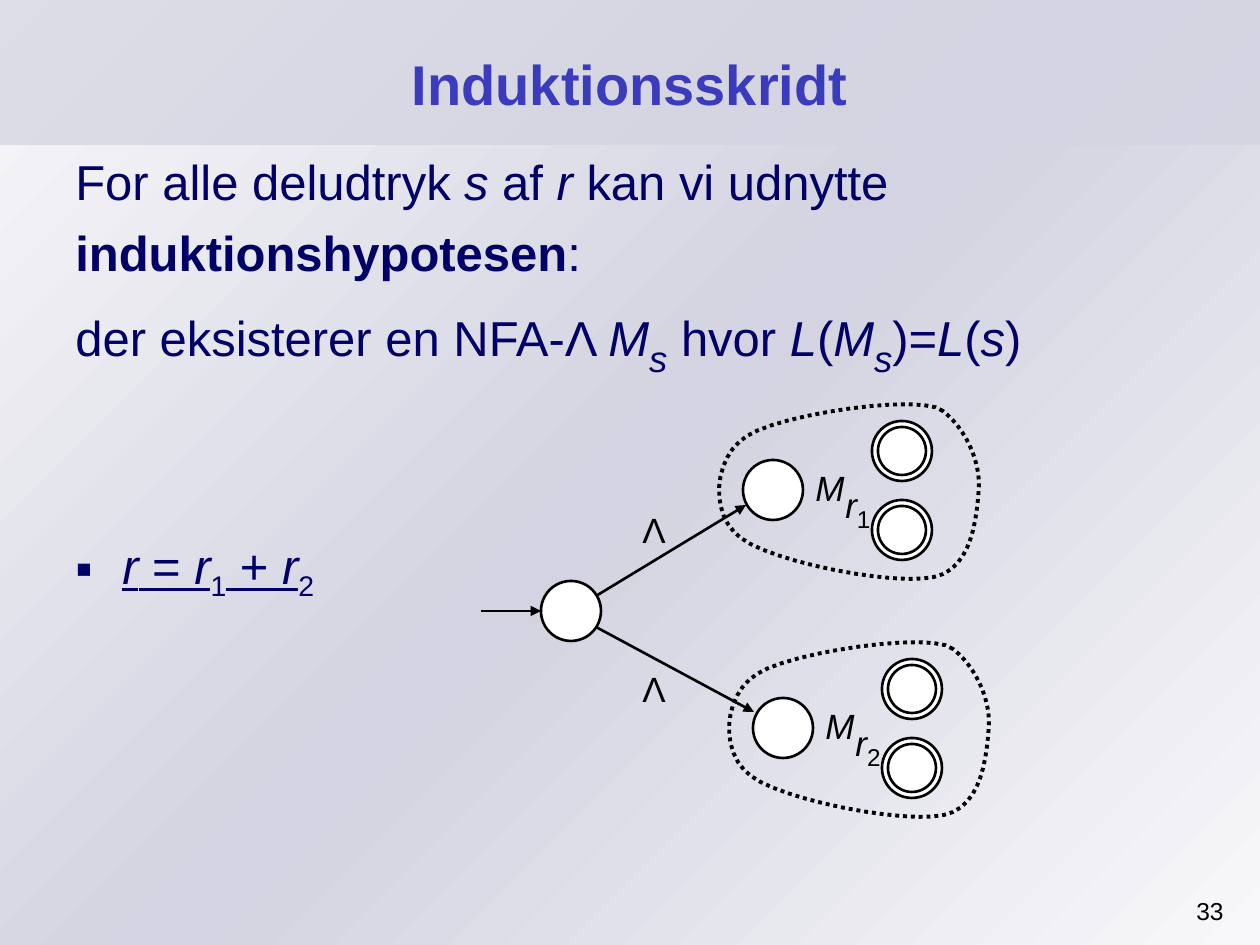
from copy import deepcopy

from lxml import etree
from pptx import Presentation
from pptx.dml.color import RGBColor
from pptx.enum.dml import MSO_LINE
from pptx.enum.shapes import MSO_CONNECTOR, MSO_SHAPE
from pptx.enum.text import MSO_ANCHOR, PP_ALIGN
from pptx.oxml.ns import qn
from pptx.util import Pt

PX = 914400 / 126
RECT, OVAL = MSO_SHAPE.RECTANGLE, MSO_SHAPE.OVAL
STRAIGHT = MSO_CONNECTOR.STRAIGHT
DOTS = MSO_LINE.ROUND_DOT
MIDDLE = MSO_ANCHOR.MIDDLE
CENTER, RIGHT = PP_ALIGN.CENTER, PP_ALIGN.RIGHT
BLACK, WHITE, NAVY, BLUE = "000000", "FFFFFF", "000066", "3B3BBE"
PALE, GREY = "F8F8FA", "D3D3E1"
NODE, RIM = 60, 6
# Outline of a machine, relative to its box: a start, then cubic curves
START = (234, 18)
CURVES = [((214, 0), (71, 21), (38, 43)), ((4, 64), (0, 122), (32, 145)),
          ((63, 169), (185, 193), (225, 184)), ((264, 176), (268, 122), (270, 94)),
          ((271, 67), (256, 35), (234, 18))]


def px(*nums):
    return [round(n * PX) for n in nums]


def color(text):
    return RGBColor.from_string(text)


def sub(parent, tag, **attrs):
    return etree.SubElement(parent, qn(tag), attrs)


def style(para, parts, size, tint):
    """Fill a paragraph from (text, marks) parts; marks: b, i, u, _ for subscript, + for larger."""
    for text, marks in parts:
        run = para.add_run()
        run.text = text
        font = run.font
        font.name, font.size = "Arial", Pt(size)
        font.color.rgb = color(tint)
        font.bold, font.italic, font.underline = (m in marks for m in "biu")
        if "_" in marks:
            run._r.get_or_add_rPr().set("baseline", "-25000")
        if "+" in marks:
            font.size = Pt(36 if size == 28 else 24)


def label(slide, box, parts, size=20, align=None):
    shape = slide.shapes.add_textbox(*px(*box))
    para = shape.text_frame.paragraphs[0]
    if align is not None:
        shape.text_frame.word_wrap = True
        para.alignment = align
    style(para, parts, size, BLACK)


def ring(slide, x, y, size=NODE, fill=WHITE):
    shape = slide.shapes.add_shape(OVAL, *px(x, y, size, size))
    shape.shadow.inherit = False
    if fill:
        shape.fill.solid()
        shape.fill.fore_color.rgb = color(fill)
    else:
        shape.fill.background()
    shape.line.color.rgb = color(BLACK)
    shape.line.width = Pt(1.5)


def final(slide, x, y):
    """Draw an accepting state."""
    ring(slide, x, y)
    ring(slide, x + RIM, y + RIM, NODE - 2 * RIM, None)


def arrow(slide, *ends):
    line = slide.shapes.add_connector(STRAIGHT, *px(*ends))
    line.line.color.rgb = color(BLACK)
    line.line.width = Pt(1.5)
    sub(line.line._get_or_add_ln(), "a:tailEnd", type="triangle")
    sub(line._element.spPr, "a:effectLst")


def bezier(a, b, c, d, steps=12):
    for k in range(1, steps + 1):
        t = k / steps
        s = 1 - t
        yield tuple(s**3 * p + 3 * s * s * t * q + 3 * s * t * t * u + t**3 * v
                    for p, q, u, v in zip(a, b, c, d))


def machine(slide, x, y, index):
    last, points = START, []
    for curve in CURVES:
        points += bezier(last, *curve)
        last = curve[-1]
    path = slide.shapes.build_freeform(*px(x + START[0], y + START[1]), scale=1.0)
    path.add_line_segments([px(x + p, y + q) for p, q in points], close=True)
    ring(slide, x + 34, y + 67)
    for top in (28, 107):
        final(slide, x + 163, y + top)
    shape = path.convert_to_shape()
    shape.shadow.inherit = False
    shape.fill.background()
    shape.line.color.rgb = color(BLACK)
    shape.line.width = Pt(2.25)
    shape.line.dash_style = DOTS
    label(slide, (x + 94, y + 67, 54, 55), [("M", "i")])
    label(slide, (x + 124, y + 77, 50, 71), [("r", "i"), (index, "_+")])


def automaton(slide, x, y):
    """Draw the union of two machines behind a new start state."""
    arrow(slide, x, y + 218, x + 60, y + 218)
    arrow(slide, x + 115, y + 203, x + 265, y + 112)
    arrow(slide, x + 115, y + 234, x + 273, y + 319)
    ring(slide, x + 60, y + 188)
    for top in (109, 268):
        label(slide, (x + 149, y + top, 49, 55), [("Λ", "")])
    machine(slide, x + 228, y, "1")
    machine(slide, x + 238, y + 238, "2")


def backdrop(slide):
    fill = slide.background.fill
    fill.gradient()
    fill.gradient_angle = 135
    first = fill.gradient_stops[0]._gs
    first.addnext(deepcopy(first))
    for stop, spot, tint in zip(fill.gradient_stops, (0, 0.5, 1), (PALE, GREY, PALE)):
        stop.position = spot
        stop.color.rgb = color(tint)
    band = slide.shapes.add_shape(RECT, *px(0, 0, 1260, 145))
    band.shadow.inherit = False
    band.line.fill.background()
    band.fill.solid()
    band.fill.fore_color.rgb = color(GREY)
    tone = band._element.spPr.find(".//" + qn("a:srgbClr"))
    sub(tone, "a:alpha", val="72000")
    slide.shapes._spTree.insert(2, band._element)


def heading(slide, box, text):
    title = slide.shapes.title
    title.left, title.top, title.width, title.height = px(*box)
    title.text_frame.vertical_anchor = MIDDLE
    para = title.text_frame.paragraphs[0]
    para.alignment = CENTER
    style(para, [(text, "b")], 32, BLUE)


def body(slide, box):
    rows = [
        (0, [("For alle deludtryk ", ""), ("s", "i"), (" af ", ""), ("r", "i"),
             (" kan vi udnytte", "")]),
        (7, [("induktionshypotesen", "b"), (":", "")]),
        (7, [("der eksisterer en NFA-Λ ", ""), ("M", "i"), ("s", "i_+"), (" hvor ", ""),
             ("L", "i"), ("(", ""), ("M", "i"), ("s", "i_+"), (")=", ""), ("L", "i"),
             ("(", ""), ("s", "i"), (")", "")]),
        (89, [("r", "iu"), (" = ", "u"), ("r", "iu"), ("1", "_"), (" + ", "u"),
              ("r", "iu"), ("2", "_")]),
    ]
    frame = slide.shapes.add_textbox(*px(*box)).text_frame
    frame.word_wrap = True
    for k, (gap, parts) in enumerate(rows):
        para = frame.paragraphs[0] if k == 0 else frame.add_paragraph()
        para.space_before = Pt(gap)
        if k == len(rows) - 1:
            props = para._p.get_or_add_pPr()
            indent = px(47)[0]
            props.set("marL", str(indent))
            props.set("indent", str(-indent))
            tint = sub(props, "a:buClr")
            sub(tint, "a:srgbClr", val=NAVY)
            sub(props, "a:buFont", typeface="Arial")
            sub(props, "a:buChar", char="▪")
        style(para, parts, 28, NAVY)


def main():
    deck = Presentation()
    deck.slide_width, deck.slide_height = px(1260, 945)
    slide = deck.slides.add_slide(deck.slide_layouts[5])
    backdrop(slide)
    body(slide, (63, 145, 1133, 735))
    heading(slide, (63, 21, 1134, 125), "Induktionsskridt")
    automaton(slide, 481, 393)
    label(slide, (1136, 890, 100, 49), [("33", "")], 14, RIGHT)
    deck.save("out.pptx")


if __name__ == "__main__":
    main()
